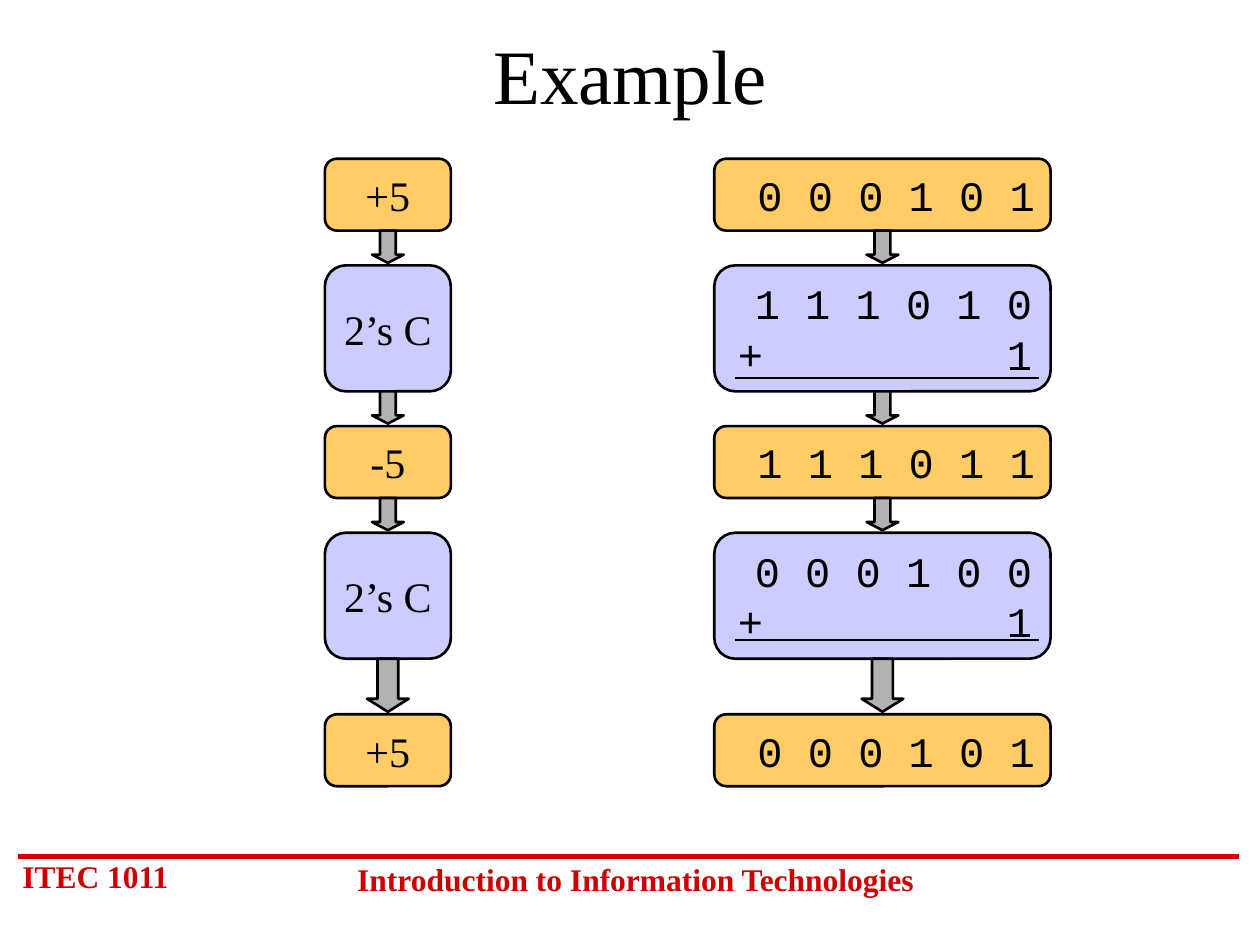
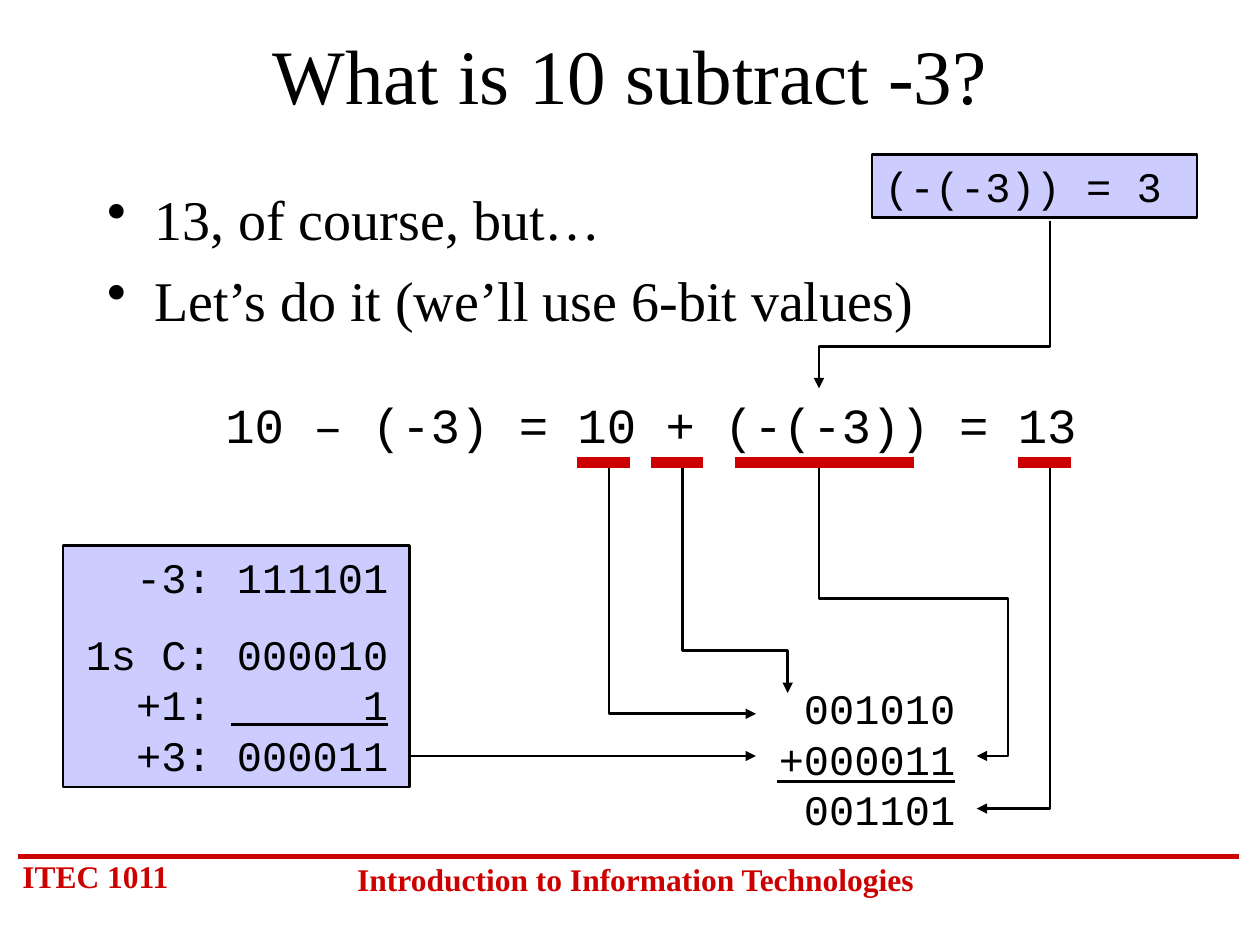
import lxml.etree
import pptx
import pptx.dml.color
import pptx.enum.shapes
import pptx.enum.text
import pptx.oxml.ns
import pptx.util

Cm = pptx.util.Cm
Pt = pptx.util.Pt
RGB = pptx.dml.color.RGBColor
SHAPE = pptx.enum.shapes.MSO_SHAPE
ANCHOR = pptx.enum.text.MSO_ANCHOR
ALIGN = pptx.enum.text.PP_ALIGN
qn = pptx.oxml.ns.qn

BLACK = RGB(0x00, 0x00, 0x00)
RED = RGB(0xCC, 0x00, 0x00)
ORANGE = RGB(0xFF, 0xCC, 0x66)
LILAC = RGB(0xCC, 0xCC, 0xFF)
GREY = RGB(0xB2, 0xB2, 0xB2)
SERIF = "Times New Roman"
MONO = "Courier New"
CHAR = 0.508

FOOTERS = [
    ("ITEC 1011", (0.2, 17.15, 3.81, 1.02), ALIGN.LEFT),
    ("Introduction to Information Technologies", (6.78, 17.22, 12.07, 1.02), ALIGN.CENTER),
]

VALUE = {"height": 1.45, "fill": ORANGE}
COMPLEMENT = {"height": 2.54, "fill": LILAC}
SHORT_ARROW = {"gap": 0.7, "width": 0.64, "head": 0.259}
LONG_ARROW = {"gap": 1.12, "width": 0.84, "head": 0.313}
STEPS = [
    (VALUE, "+5", ["\t0 0 0 1 0 1"], None, SHORT_ARROW),
    (COMPLEMENT, "2’s C", ["\t1 1 1 0 1 0", "+\t1"], 2.27, SHORT_ARROW),
    (VALUE, "-5", ["\t1 1 1 0 1 1"], None, SHORT_ARROW),
    (COMPLEMENT, "2’s C", ["\t0 0 0 1 0 0", "+\t1"], 2.16, LONG_ARROW),
    (VALUE, "+5", ["\t0 0 0 1 0 1"], None, None),
]
STEPS_TOP = 3.2
DECIMAL_LEFT, DECIMAL_WIDTH = 6.55, 2.54
BINARY_LEFT, BINARY_WIDTH = 14.4, 6.78

BULLETS = ["13, of course, but…", "Let’s do it (we’ll use 6-bit values)"]
EQUATION = "10 – (-3) = 10 + (-(-3)) = 13"
COMPLEMENT_ROWS = ["\t-3:\t111101", "\t1s C:\t000010", "\t+1:\t1", "\t+3:\t000011"]
SUM_ROWS = ["\t001010", "+000011", "\t001101"]
TERM_MARKS = [(11.64, 12.7), (13.12, 14.18), (14.82, 18.42), (20.53, 21.59)]
MARK_Y = 9.32
SUM_RULES = [(4.66, 7.83, 14.6), (15.66, 19.26, 15.75)]
ARROW_PATHS = [
    [(12.28, MARK_Y), (12.28, 14.39), (15.24, 14.39)],
    [(13.76, MARK_Y), (13.76, 13.12), (15.88, 13.12), (15.88, 13.97)],
    [(16.51, MARK_Y), (16.51, 12.07), (20.32, 12.07), (20.32, 15.24), (19.69, 15.24)],
    [(21.17, MARK_Y), (21.17, 16.3), (19.69, 16.3)],
    [(21.17, 4.45), (21.17, 6.99), (16.51, 6.99), (16.51, 7.83)],
]


def cms(values):
    return [Cm(v) for v in values]


def write(sp, lines, size, font=SERIF, color=BLACK, align=ALIGN.LEFT, bold=False,
          anchor=ANCHOR.TOP, tabs=(), gaps=(), bullet=False, wrap=True):
    tf = sp.text_frame
    tf.word_wrap = wrap
    tf.vertical_anchor = anchor
    for i, line in enumerate(lines):
        p = tf.paragraphs[0] if i == 0 else tf.add_paragraph()
        p.text = line
        pPr = p._p.get_or_add_pPr()
        if bullet:
            pPr.set("marL", str(Cm(0.95)))
            pPr.set("indent", str(-Cm(0.95)))
            lxml.etree.SubElement(pPr, qn("a:buChar")).set("char", "•")
        if tabs:
            stops = lxml.etree.SubElement(pPr, qn("a:tabLst"))
            for column in tabs:
                stop = lxml.etree.SubElement(stops, qn("a:tab"))
                stop.set("pos", str(Cm(column * CHAR)))
                stop.set("algn", "r")
        p.alignment = align
        if i in gaps:
            p.space_before = Pt(gaps[i])
        for r in p.runs:
            r.font.name = font
            r.font.size = Pt(size)
            r.font.bold = bold
            r.font.color.rgb = color


def add_text(s, box, lines, size, **style):
    sp = s.shapes.add_textbox(*cms(box))
    write(sp, lines, size, **style)
    return sp


def add_box(s, kind, box, fill):
    sp = s.shapes.add_shape(kind, *cms(box))
    sp.shadow.inherit = False
    sp.fill.solid()
    sp.fill.fore_color.rgb = fill
    sp.line.color.rgb = BLACK
    sp.line.width = Pt(1.5)
    return sp


def add_arrowhead(sp):
    ln = sp._element.spPr.find(qn("a:ln"))
    lxml.etree.SubElement(ln, qn("a:tailEnd")).set("type", "triangle")


def add_line(s, x1, x2, y, color=BLACK, width=1.5):
    sp = s.shapes.add_connector(pptx.enum.shapes.MSO_CONNECTOR.STRAIGHT, *cms((x1, y, x2, y)))
    sp.line.color.rgb = color
    sp.line.width = Pt(width)
    lxml.etree.SubElement(sp._element.spPr, qn("a:effectLst"))
    return sp


def add_elbow_arrow(s, points):
    start, *rest = [tuple(cms(point)) for point in points]
    builder = s.shapes.build_freeform(*start)
    builder.add_line_segments(rest, close=False)
    sp = builder.convert_to_shape()
    sp.shadow.inherit = False
    sp.fill.background()
    sp.line.color.rgb = BLACK
    sp.line.width = Pt(1.5)
    add_arrowhead(sp)


def add_slide(prs, title):
    s = prs.slides.add_slide(prs.slide_layouts[6])
    add_line(s, 0.36, 24.97, 17.27, RED, 3)
    for text, box, align in FOOTERS:
        add_text(s, box, [text], 18, color=RED, align=align, bold=True)
    add_text(s, (1.91, 0.43, 21.59, 2.11), [title], 44,
             align=ALIGN.CENTER, anchor=ANCHOR.MIDDLE)
    return s


def add_step_box(s, kind, left, top, width):
    sp = add_box(s, SHAPE.ROUNDED_RECTANGLE, (left, top, width, kind["height"]), kind["fill"])
    sp.adjustments[0] = 0.167
    return sp


def add_step_arrow(s, arrow, center, top):
    width = arrow["width"]
    sp = add_box(s, SHAPE.DOWN_ARROW,
                 (center - width / 2, top, width, arrow["gap"] - 0.05), GREY)
    sp.adjustments[0] = 0.5
    sp.adjustments[1] = arrow["head"]


def build_example(prs):
    s = add_slide(prs, "Example")
    top = STEPS_TOP
    for kind, decimal, binary, rule, arrow in STEPS:
        sp = add_step_box(s, kind, DECIMAL_LEFT, top, DECIMAL_WIDTH)
        write(sp, [decimal], 24, align=ALIGN.CENTER, anchor=ANCHOR.MIDDLE, wrap=False)
        sp = add_step_box(s, kind, BINARY_LEFT, top, BINARY_WIDTH)
        sp.text_frame.margin_left = Cm(0.35)
        write(sp, binary, 24, font=MONO, anchor=ANCHOR.MIDDLE, tabs=[12])
        if rule:
            add_line(s, 14.82, 20.95, top + rule)
        bottom = top + kind["height"]
        if arrow:
            add_step_arrow(s, arrow, DECIMAL_LEFT + DECIMAL_WIDTH / 2, bottom)
            add_step_arrow(s, arrow, BINARY_LEFT + BINARY_WIDTH / 2, bottom)
            top = bottom + arrow["gap"]


def build_subtraction(prs):
    s = add_slide(prs, "What is 10 subtract -3?")
    add_text(s, (1.91, 3.6, 21.59, 11.43), BULLETS, 32, gaps={1: 8}, bullet=True)
    add_text(s, (3.39, 7.83, 19.47, 1.44), [EQUATION], 28, font=MONO, align=ALIGN.CENTER)
    add_box(s, SHAPE.RECTANGLE, (1.27, 11, 6.99, 4.87), LILAC)
    add_text(s, (1.48, 11, 7.62, 4.85), COMPLEMENT_ROWS, 24, font=MONO,
             tabs=[5, 12], gaps={1: 15})
    add_text(s, (15.45, 13.64, 4.45, 3.3), SUM_ROWS, 24, font=MONO, tabs=[7])
    for x1, x2, y in SUM_RULES:
        add_line(s, x1, x2, y)
    add_arrowhead(add_line(s, 8.26, 15.24, 15.24))
    for points in ARROW_PATHS:
        add_elbow_arrow(s, points)
    for x1, x2 in TERM_MARKS:
        add_line(s, x1, x2, MARK_Y, RED, 6)
    sp = add_box(s, SHAPE.RECTANGLE, (17.58, 3.12, 6.55, 1.27), LILAC)
    write(sp, ["(-(-3)) = 3"], 24, font=MONO)


def main():
    prs = pptx.Presentation()
    prs.slide_width = Cm(25.4)
    prs.slide_height = Cm(19.05)
    build_example(prs)
    build_subtraction(prs)
    prs.save("out.pptx")


if __name__ == "__main__":
    main()
